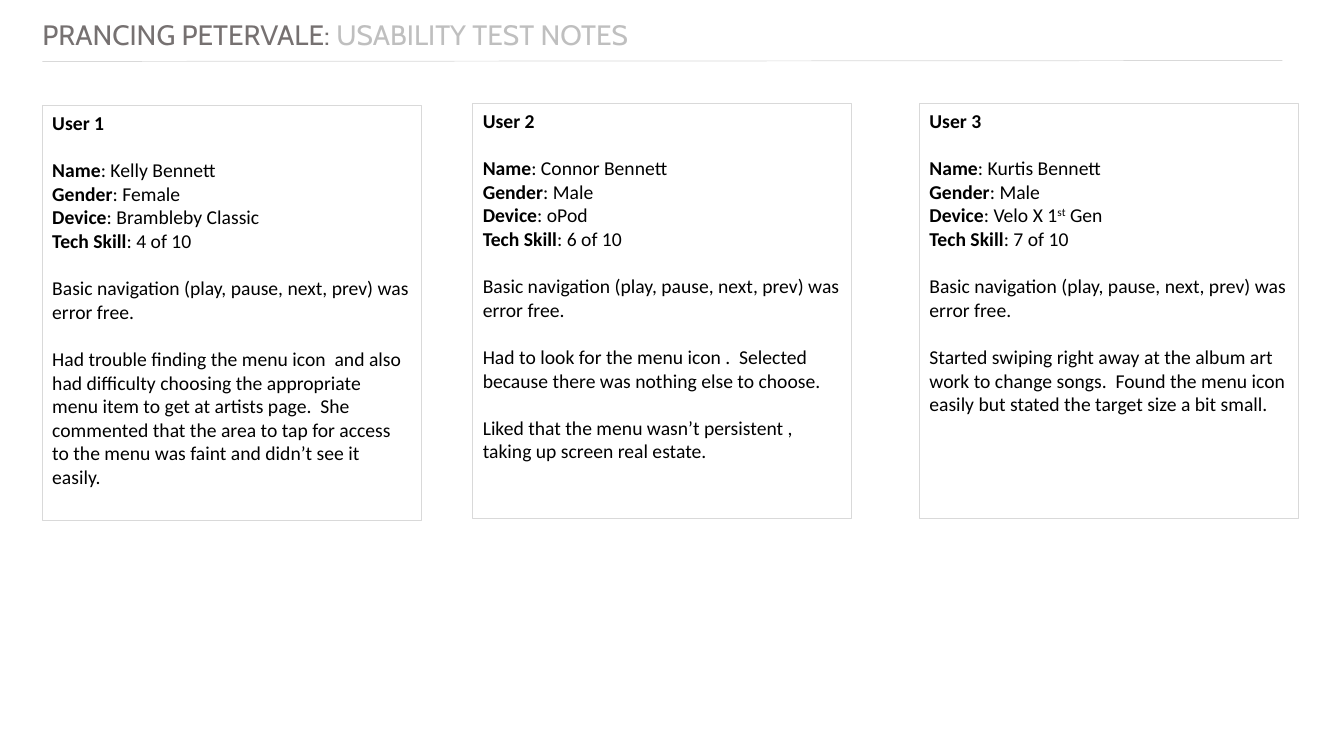
from dataclasses import dataclass

from lxml.etree import SubElement
from pptx import Presentation
from pptx.dml.color import RGBColor
from pptx.enum.shapes import MSO_CONNECTOR, MSO_SHAPE
from pptx.enum.text import MSO_ANCHOR, MSO_AUTO_SIZE, PP_ALIGN
from pptx.oxml.ns import qn
from pptx.util import Inches, Pt


@dataclass(frozen=True)
class Theme:
    title_font: str = "Cabin"
    body_font: str = "Calibri"
    title_size: int = 20
    body_size: int = 14
    section_gap: int = 17
    title_dark: str = "767171"
    title_light: str = "BFBFBF"
    text: str = "000000"
    line: str = "D9D9D9"
    rule_width: float = 0.5
    border_width: float = 0.75


CARD_WIDTH, CARD_HEIGHT = 3.76, 4.11
NAVIGATION = "Basic navigation (play, pause, next, prev) was error free."

# Each detail is a label followed by its value; "^" marks a superscript part.
USERS = [
    {
        "at": (0.42, 1.05),
        "details": [
            ("Name", "Kelly Bennett"),
            ("Gender", "Female"),
            ("Device", "Brambleby Classic"),
            ("Tech Skill", "4 of 10"),
        ],
        "notes": [
            NAVIGATION,
            "Had trouble finding the menu icon  and also had difficulty choosing "
            "the appropriate menu item to get at artists page.  She commented that "
            "the area to tap for access to the menu was faint and didn’t see it easily.",
        ],
    },
    {
        "at": (4.69, 1.03),
        "details": [
            ("Name", "Connor Bennett"),
            ("Gender", "Male"),
            ("Device", "oPod"),
            ("Tech Skill", "6 of 10"),
        ],
        "notes": [
            NAVIGATION,
            "Had to look for the menu icon .  Selected because there was nothing "
            "else to choose.",
            "Liked that the menu wasn’t persistent , taking up screen real estate.",
        ],
    },
    {
        "at": (9.12, 1.03),
        "details": [
            ("Name", "Kurtis Bennett"),
            ("Gender", "Male"),
            ("Device", "Velo X 1^st^ Gen"),
            ("Tech Skill", "7 of 10"),
        ],
        "notes": [
            NAVIGATION,
            "Started swiping right away at the album art work to change songs.  "
            "Found the menu icon easily but stated the target size a bit small.",
        ],
    },
]


class SlideBuilder:
    def __init__(self, slide, theme):
        self.slide = slide
        self.theme = theme

    def add_run(self, paragraph, text, font, size, color, bold=False):
        run = paragraph.add_run()
        run.text = text
        run.font.name = font
        run.font.size = Pt(size)
        run.font.bold = bold
        run.font.color.rgb = RGBColor.from_string(color)
        return run

    def add_body_run(self, paragraph, text, bold=False):
        theme = self.theme
        return self.add_run(
            paragraph, text, theme.body_font, theme.body_size, theme.text, bold
        )

    def add_title(self, name, subject):
        theme = self.theme
        title = self.slide.shapes.title
        title.left, title.top = Inches(0.42), Inches(0.12)
        title.width, title.height = Inches(6.07), Inches(0.44)
        frame = title.text_frame
        frame.word_wrap = True
        frame.auto_size = MSO_AUTO_SIZE.NONE
        frame.vertical_anchor = MSO_ANCHOR.TOP
        frame.margin_left = 0
        paragraph = frame.paragraphs[0]
        paragraph.alignment = PP_ALIGN.LEFT
        for text, color in ((name, theme.title_dark), (subject, theme.title_light)):
            self.add_run(paragraph, text, theme.title_font, theme.title_size, color)

    def add_rule(self, start, end):
        rule = self.slide.shapes.add_connector(
            MSO_CONNECTOR.STRAIGHT, *map(Inches, start + end)
        )
        rule.line.color.rgb = RGBColor.from_string(self.theme.line)
        rule.line.width = Pt(self.theme.rule_width)
        SubElement(rule._element.spPr, qn("a:effectLst"))

    def add_detail(self, paragraph, label, value):
        self.add_body_run(paragraph, label, bold=True)
        for index, part in enumerate(f": {value}".split("^")):
            run = self.add_body_run(paragraph, part)
            if index % 2:
                run._r.get_or_add_rPr().set("baseline", "30000")

    def add_user_card(self, heading, at, details, notes):
        left, top = at
        card = self.slide.shapes.add_shape(
            MSO_SHAPE.RECTANGLE,
            *map(Inches, (left, top, CARD_WIDTH, CARD_HEIGHT)),
        )
        card.shadow.inherit = False
        card.fill.background()
        card.line.color.rgb = RGBColor.from_string(self.theme.line)
        card.line.width = Pt(self.theme.border_width)
        frame = card.text_frame
        frame.word_wrap = True
        frame.vertical_anchor = MSO_ANCHOR.TOP

        self.add_body_run(frame.paragraphs[0], heading, bold=True)
        gap = Pt(self.theme.section_gap)
        for index, (label, value) in enumerate(details):
            paragraph = frame.add_paragraph()
            if index == 0:
                paragraph.space_before = gap
            self.add_detail(paragraph, label, value)
        for note in notes:
            paragraph = frame.add_paragraph()
            paragraph.space_before = gap
            self.add_body_run(paragraph, note)
        for paragraph in frame.paragraphs:
            paragraph.alignment = PP_ALIGN.LEFT


def main():
    presentation = Presentation()
    presentation.slide_width = Inches(13.33)
    presentation.slide_height = Inches(7.5)
    title_only = presentation.slide_layouts.get_by_name("Title Only")
    builder = SlideBuilder(presentation.slides.add_slide(title_only), Theme())

    builder.add_title("PRANCING PETERVALE: ", "USABILITY TEST NOTES")
    builder.add_rule((0.42, 0.61), (12.72, 0.6))
    for number, user in enumerate(USERS, start=1):
        builder.add_user_card(f"User {number}", **user)

    presentation.save("out.pptx")


if __name__ == "__main__":
    main()
